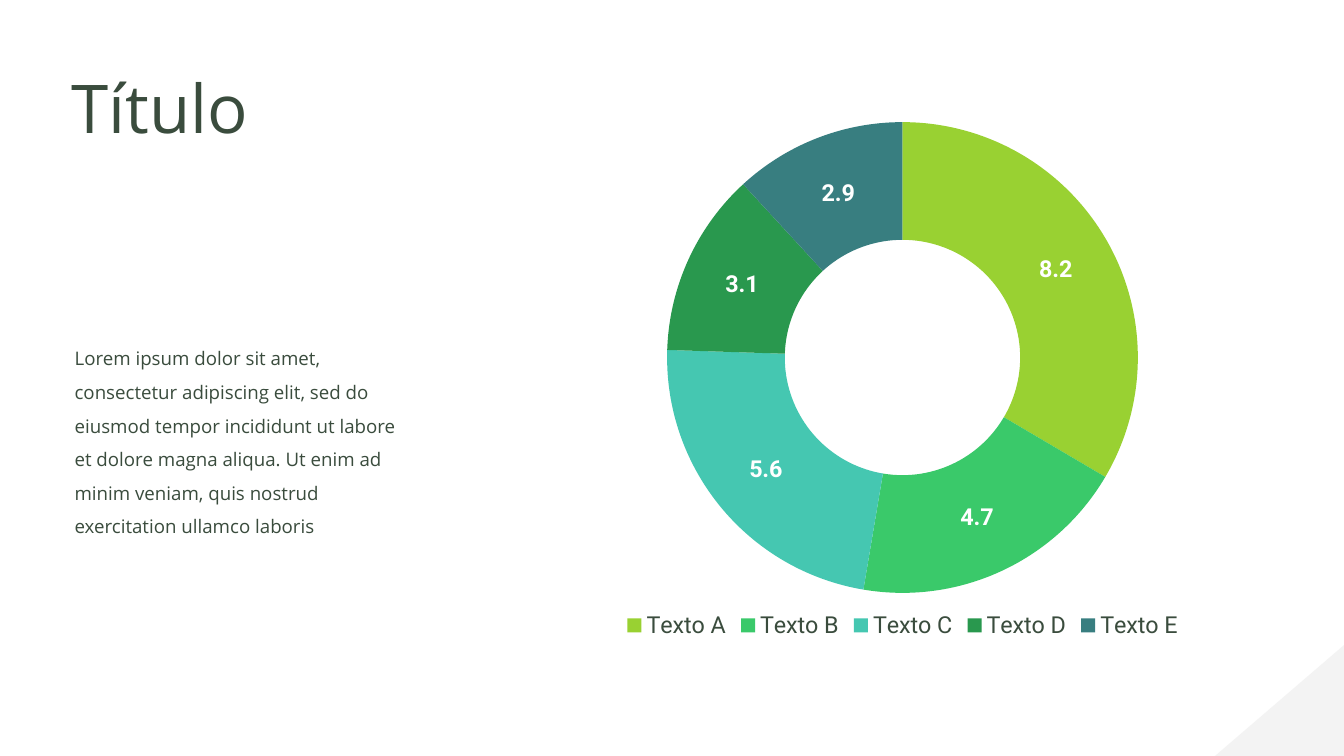
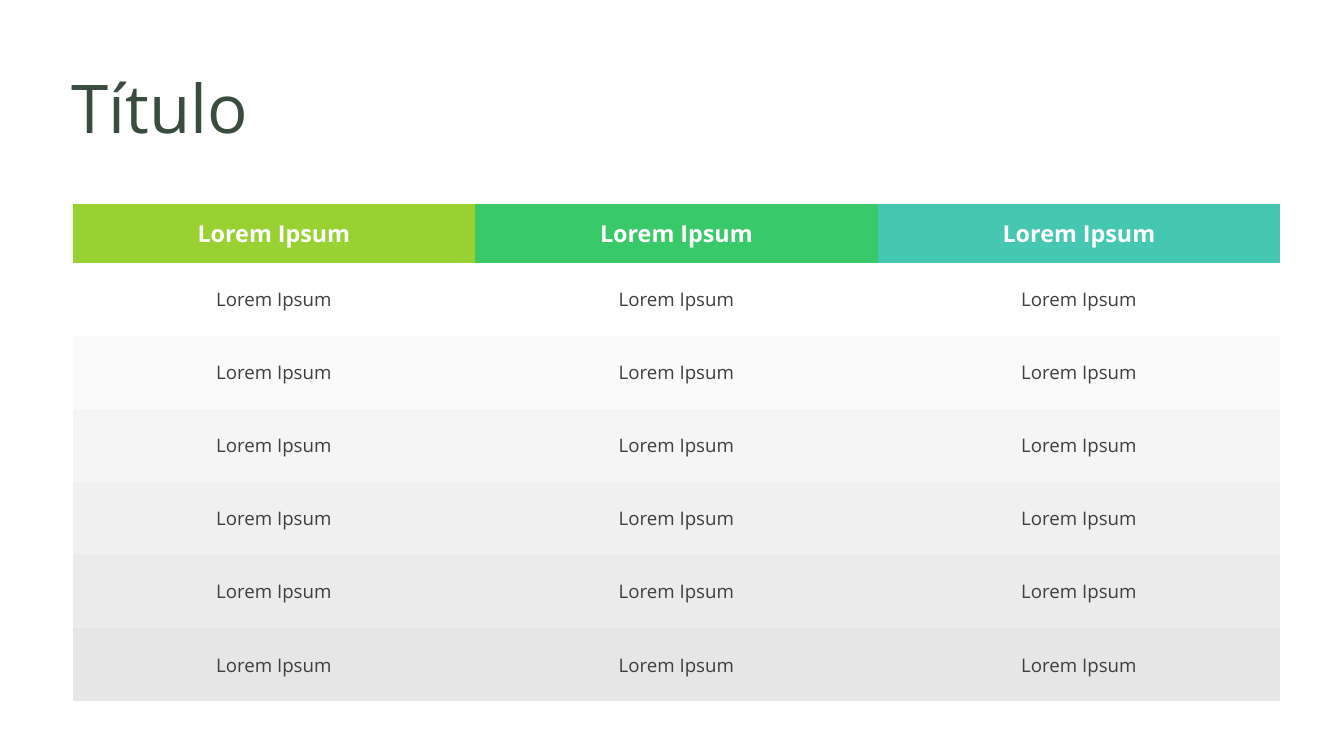
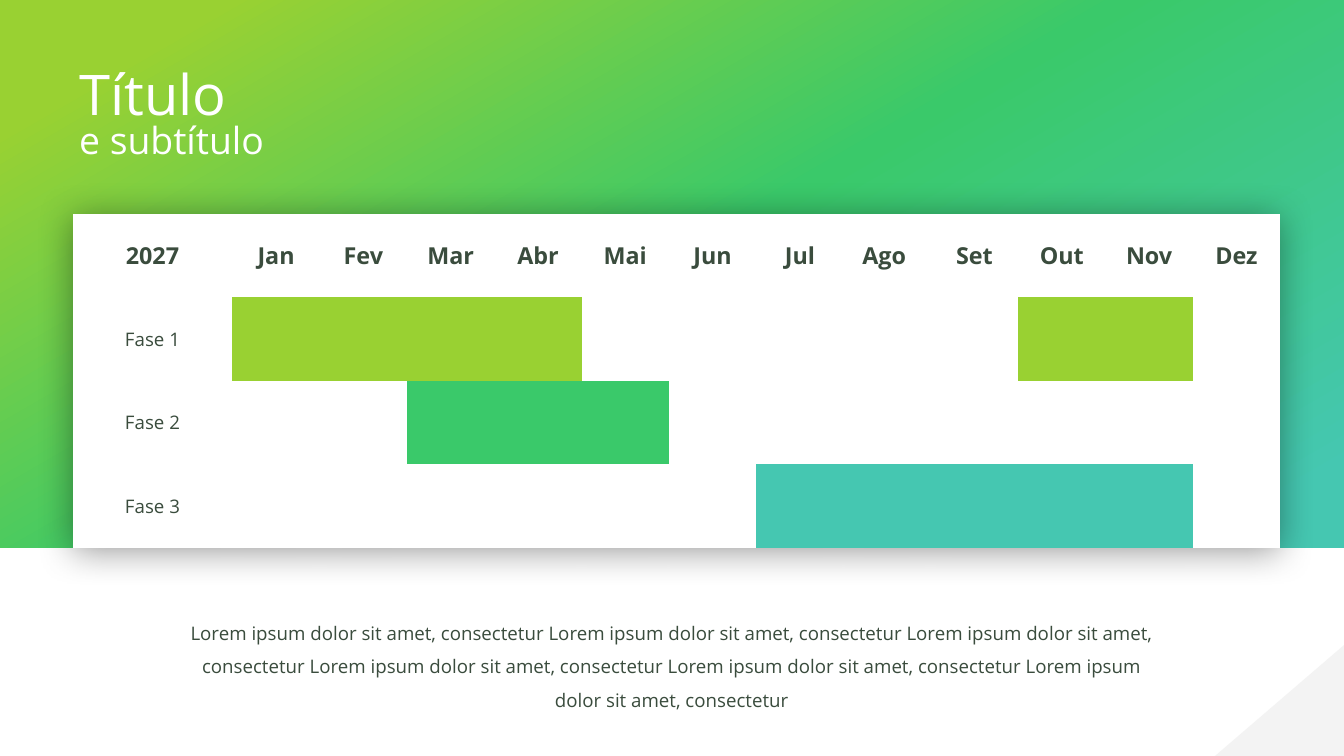
from copy import deepcopy

from lxml.etree import SubElement
from pptx import Presentation
from pptx.chart.data import CategoryChartData
from pptx.dml.color import RGBColor
from pptx.enum.chart import XL_CHART_TYPE, XL_LEGEND_POSITION
from pptx.enum.shapes import MSO_SHAPE
from pptx.enum.text import MSO_ANCHOR, MSO_AUTO_SIZE, PP_ALIGN
from pptx.oxml.ns import qn
from pptx.util import Inches, Pt

WIDTH, HEIGHT = Inches(20), Inches(11.25)
LIME, GREEN, TEAL, FOREST, SLATE = "99D132", "3AC96A", "45C7B1", "29984E", "387E80"
INK, GREY, WHITE, CORNER = "3A4C3D", "3F3F3F", "FFFFFF", "E8E8E8"
SANS, ROBOTO = "Open Sans", "Roboto"
NO_GRID = "{2D5ABB26-0587-4C30-8999-92F81FD0307C}"

# Boxes are left, top, width, height in percent of the slide
HEAD = (4.8, 8.36, 25.2, 11.64)


def rgb(code):
    return RGBColor.from_string(code)


def area(box):
    x, y, w, h = box
    return [int(side * part / 100)
            for side, part in zip((WIDTH, HEIGHT, WIDTH, HEIGHT), (x, y, w, h))]


def style(font, size, color, bold=False, name=SANS):
    font.size, font.bold, font.name = Pt(size), bold, name
    font.color.rgb = rgb(color)


def write(shape, box, text, size, color=INK, align=PP_ALIGN.LEFT, space=1.0):
    """Place a text shape and format its only paragraph."""
    shape.left, shape.top, shape.width, shape.height = area(box)
    frame = shape.text_frame
    frame.text = text
    frame.word_wrap = True
    frame.auto_size = MSO_AUTO_SIZE.NONE
    frame.vertical_anchor = MSO_ANCHOR.TOP
    para = frame.paragraphs[0]
    para.alignment, para.line_spacing, para.space_before = align, space, Pt(0)
    style(para.runs[0].font, size, color)
    return para


def body(slide, box, text, align=PP_ALIGN.LEFT):
    para = write(slide.placeholders[1], box, text, 20, align=align, space=1.5)
    props = para._p.get_or_add_pPr()
    props.set("marL", "0")
    props.set("indent", "0")
    SubElement(props, qn("a:buNone"))


def block(slide, kind, box):
    shape = slide.shapes.add_shape(kind, *area(box))
    shape.shadow.inherit = False
    shape.line.fill.background()
    return shape


def corner(slide):
    shape = block(slide, MSO_SHAPE.ISOSCELES_TRIANGLE, (90.4, 85.33, 9.6, 14.67))
    shape.adjustments[0] = 1
    shape.fill.solid()
    shape.fill.fore_color.rgb = rgb(CORNER)
    tint = shape._element.spPr.find(".//" + qn("a:srgbClr"))
    SubElement(tint, qn("a:alpha"), val="50000")


def band(slide, box):
    """Gradient backdrop, sent behind everything else."""
    shape = block(slide, MSO_SHAPE.RECTANGLE, box)
    fill = shape.fill
    fill.gradient()
    fill.gradient_angle = 120
    stops = shape._element.spPr.find(".//" + qn("a:gsLst"))
    stops.append(deepcopy(stops[-1]))
    for stop, (place, color) in zip(fill.gradient_stops,
                                    ((0.06, TEAL), (0.51, GREEN), (0.9, LIME))):
        stop.position = place
        stop.color.rgb = rgb(color)
    slide.shapes._spTree.insert(2, shape._element)


def grid(slide, box, cols, rows):
    """Plain table whose columns and rows share the box by weight."""
    x, y, w, h = area(box)
    table = slide.shapes.add_table(len(rows), len(cols), x, y, w, h).table
    table.first_row = table.horz_banding = False
    table._tbl.tblPr.find(qn("a:tableStyleId")).text = NO_GRID
    for col, part in zip(table.columns, cols):
        col.width = int(w * part / sum(cols))
    for row, part in zip(table.rows, rows):
        row.height = int(h * part / sum(rows))
    return table


def paint(cell, color):
    cell.fill.solid()
    cell.fill.fore_color.rgb = rgb(color)


def label(cell, text, size, color, bold=False):
    cell.text = text
    cell.vertical_anchor = MSO_ANCHOR.MIDDLE
    cell.margin_left = cell.margin_right = Inches(0.11)
    cell.margin_top = cell.margin_bottom = Inches(0.06)
    para = cell.text_frame.paragraphs[0]
    para.alignment = PP_ALIGN.CENTER
    style(para.runs[0].font, size, color, bold)


def shade(table):
    """Soft shadow around the table."""
    props = table._tbl.tblPr
    effects = SubElement(props, qn("a:effectLst"))
    shadow = SubElement(effects, qn("a:outerShdw"), blurRad=str(Pt(40)),
                        dist=str(Pt(4)), dir="5400000", algn="ctr", rotWithShape="0")
    tint = SubElement(shadow, qn("a:srgbClr"), val="000000")
    SubElement(tint, qn("a:alpha"), val="40000")
    props.insert(0, effects)


def ring(slide, box):
    data = CategoryChartData(number_format="0.0")
    data.categories = [f"Texto {letter}" for letter in "ABCDE"]
    data.add_series("Series 1", (8.2, 4.7, 5.6, 3.1, 2.9))
    chart = slide.shapes.add_chart(XL_CHART_TYPE.DOUGHNUT, *area(box), data).chart
    chart.has_title = False
    style(chart.font, 10, "000000", name="Calibri")
    chart.has_legend = True
    chart.legend.position = XL_LEGEND_POSITION.BOTTOM
    chart.legend.include_in_layout = False
    style(chart.legend.font, 25, INK, name=ROBOTO)
    plot = chart.plots[0]
    plot.has_data_labels = True
    labels = plot.data_labels
    labels.show_value, labels.show_percentage = True, False
    style(labels.font, 25, WHITE, True, ROBOTO)
    for i, color in enumerate((LIME, GREEN, TEAL, FOREST, SLATE)):
        fill = plot.series[0].points[i].format.fill
        fill.solid()
        fill.fore_color.rgb = rgb(color)
    chart._chartSpace.find(".//" + qn("c:holeSize")).set("val", "35")


def share(slide):
    """Doughnut chart with a text beside it."""
    write(slide.shapes.title, HEAD, "Título", 72)
    body(slide, (5.05, 44, 25.2, 27.38),
         "Lorem ipsum dolor sit amet, consectetur adipiscing elit, sed do eiusmod "
         "tempor incididunt ut labore et dolore magna aliqua. Ut enim ad minim "
         "veniam, quis nostrud exercitation ullamco laboris")
    ring(slide, (37.25, 14.93, 59.8, 70.22))
    corner(slide)


def list_rows(slide):
    """Table with coloured heads and rows that darken downwards."""
    write(slide.shapes.title, HEAD, "Título", 72)
    table = grid(slide, (5.4, 27.02, 89.85, 65.78), [1] * 3, [0.87] + [1.09] * 6)
    for c, color in enumerate((LIME, GREEN, TEAL)):
        paint(table.cell(0, c), color)
        label(table.cell(0, c), "Lorem Ipsum", 25, WHITE, True)
        for r in range(1, 7):
            paint(table.cell(r, c), f"{255 - 5 * (r - 1):02X}" * 3)
            label(table.cell(r, c), "Lorem Ipsum", 20, GREY)


def plan(slide):
    """Year plan: months across, one coloured phase per row."""
    band(slide, (0, 0, 100, 72.44))
    write(slide.shapes.title, (5.4, 7.47, 86.45, 9.87), "Título", 60, WHITE)
    sub = (5.4, 15.02, 86.45, 6.84)
    write(slide.shapes.add_textbox(*area(sub)), sub, "e subtítulo", 40, WHITE)

    heads = ["2027", "Jan", "Fev", "Mar", "Abr", "Mai", "Jun",
             "Jul", "Ago ", "Set", "Out", "Nov", "Dez"]
    phases = ((LIME, (1, 2, 3, 4, 10, 11)), (GREEN, range(3, 6)), (TEAL, range(7, 12)))
    table = grid(slide, (5.4, 28.27, 89.85, 44.18), [2.38] + [1.3] * 12, [1] * 4)
    shade(table)
    for c, text in enumerate(heads):
        paint(table.cell(0, c), WHITE)
        label(table.cell(0, c), text, 25, INK, True)
    for r, (color, months) in enumerate(phases, 1):
        for c in range(len(heads)):
            paint(table.cell(r, c), color if c in months else WHITE)
        label(table.cell(r, 0), f"Fase {r}", 20, INK)

    body(slide, (13, 80.27, 73.95, 18.4),
         " ".join(["Lorem ipsum dolor sit amet, consectetur"] * 6), PP_ALIGN.CENTER)
    corner(slide)


def main():
    deck = Presentation()
    deck.slide_width, deck.slide_height = WIDTH, HEIGHT
    # Layout 1 has title and body, layout 5 has the title only
    for build, layout in ((share, 1), (list_rows, 5), (plan, 1)):
        build(deck.slides.add_slide(deck.slide_layouts[layout]))
    deck.save("out.pptx")


if __name__ == "__main__":
    main()
